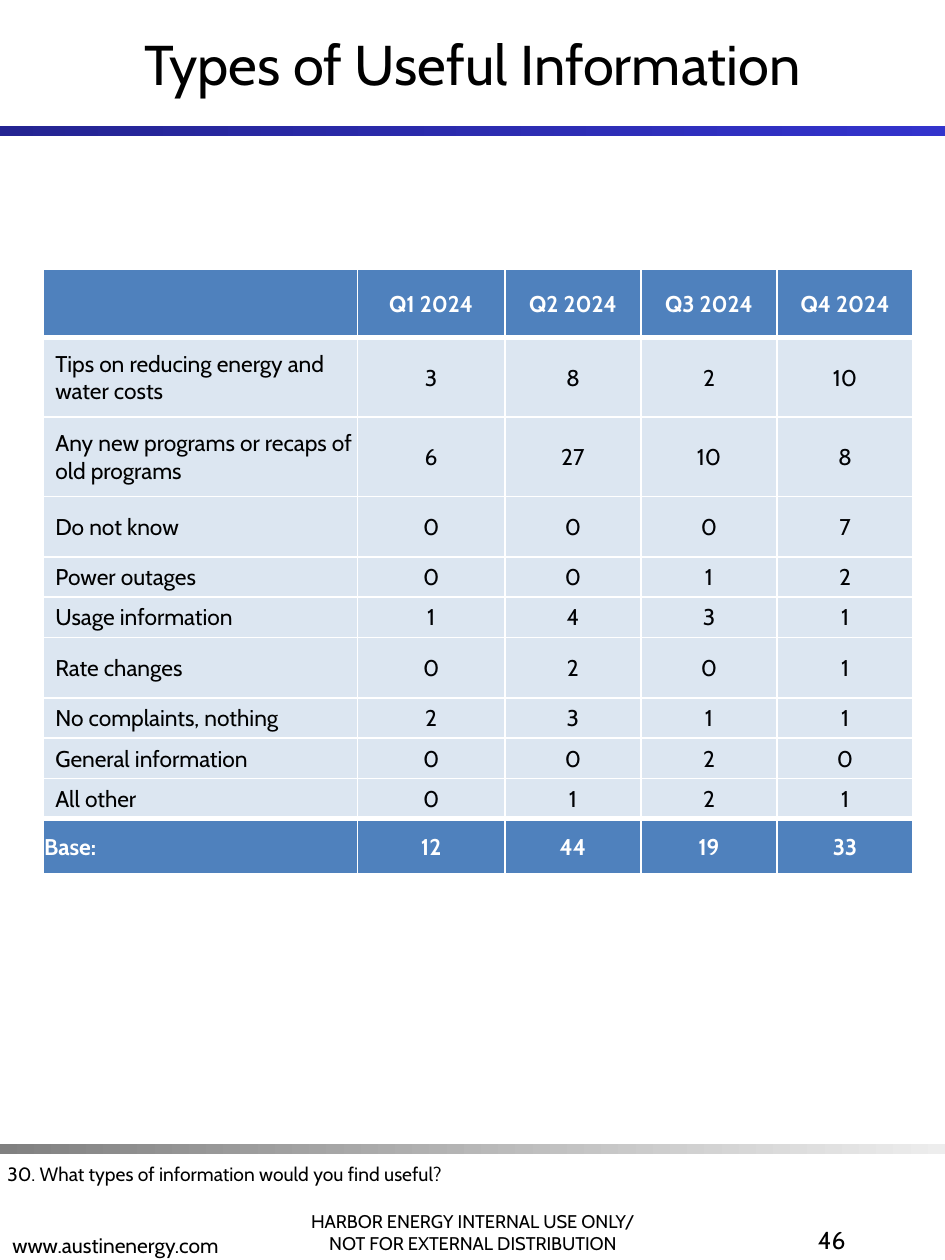
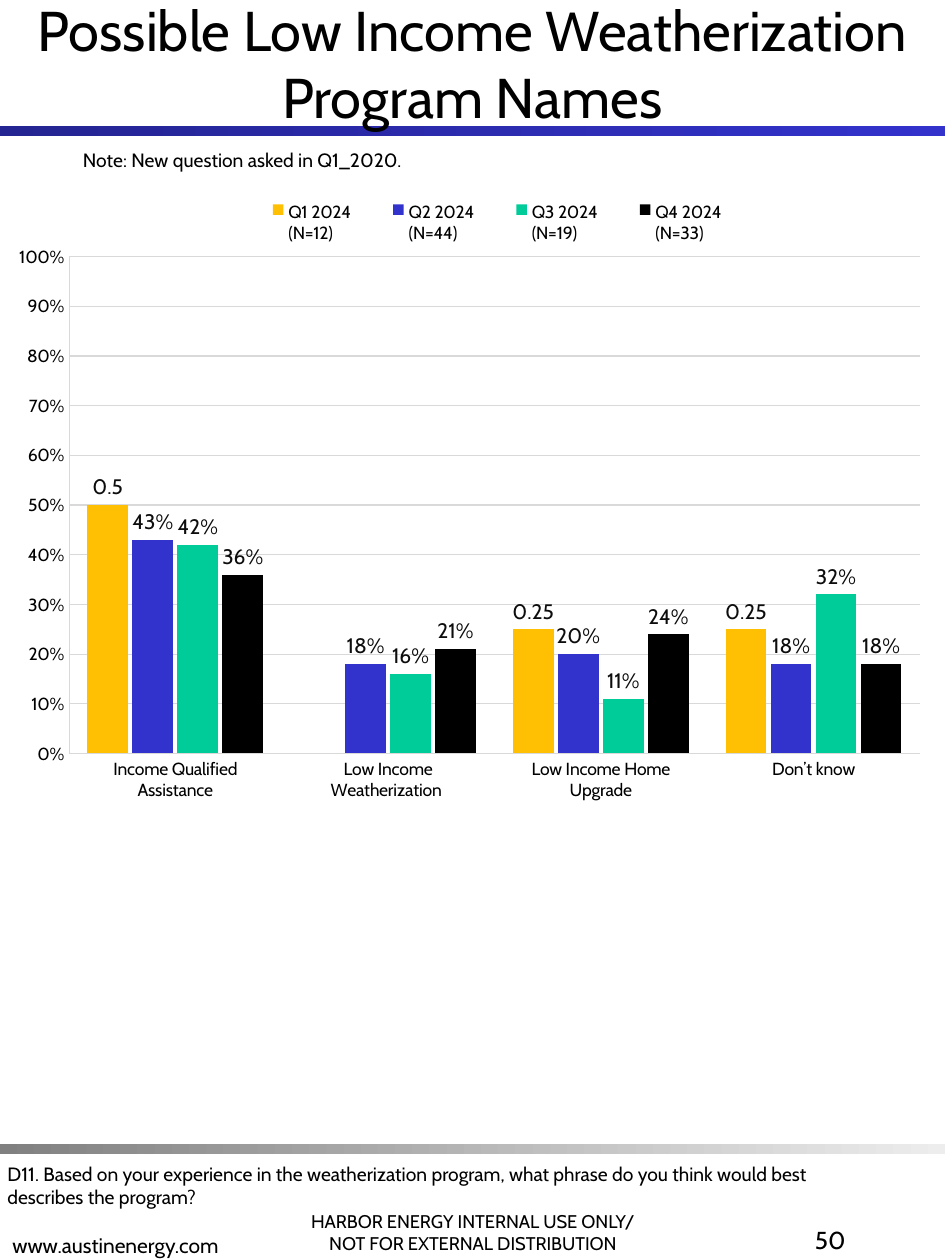
from dataclasses import dataclass

from lxml.etree import SubElement
from pptx import Presentation
from pptx.chart.chart import Chart
from pptx.chart.data import CategoryChartData
from pptx.dml.color import RGBColor
from pptx.enum.chart import XL_CHART_TYPE, XL_LABEL_POSITION, XL_LEGEND_POSITION, XL_TICK_MARK
from pptx.enum.shapes import MSO_SHAPE
from pptx.enum.text import MSO_ANCHOR, PP_ALIGN
from pptx.oxml import parse_xml
from pptx.oxml.ns import nsdecls, qn
from pptx.slide import Slide
from pptx.table import _Cell
from pptx.util import Emu, Inches, Pt

SLIDE_WIDTH, SLIDE_HEIGHT = Inches(7.5), Inches(10)
FONT = "Cabin"

BLACK = RGBColor(0x00, 0x00, 0x00)
WHITE = RGBColor(0xFF, 0xFF, 0xFF)
NAVY = RGBColor(0x24, 0x24, 0x92)
BLUE = RGBColor(0x33, 0x33, 0xCC)
GRAY = RGBColor(0x80, 0x80, 0x80)
PALE_GRAY = RGBColor(0xED, 0xED, 0xED)
HEADER_BLUE = RGBColor(0x4F, 0x81, 0xBD)
ROW_BLUE = RGBColor(0xDC, 0xE6, 0xF1)
COUNT_INK = RGBColor(0x01, 0x02, 0x05)
LABEL_INK = RGBColor(0x0D, 0x0D, 0x0D)
GRID_GRAY = RGBColor(0xD9, 0xD9, 0xD9)
YELLOW = RGBColor(0xFF, 0xC0, 0x03)
SERIES_BLUE = RGBColor(0x32, 0x33, 0xCC)
GREEN = RGBColor(0x00, 0xCC, 0x9A)


def across(percent: float) -> Emu:
    return Emu(round(SLIDE_WIDTH * percent / 100))


def down(percent: float) -> Emu:
    return Emu(round(SLIDE_HEIGHT * percent / 100))


@dataclass(frozen=True)
class Frame:
    """A rectangle in percent of the slide's width and height."""
    left: float
    top: float
    width: float
    height: float

    def lengths(self) -> tuple[Emu, Emu, Emu, Emu]:
        return across(self.left), down(self.top), across(self.width), down(self.height)


@dataclass(frozen=True)
class Band:
    frame: Frame
    start: RGBColor
    end: RGBColor


@dataclass(frozen=True)
class TextStyle:
    frame: Frame
    size: float
    align: PP_ALIGN = PP_ALIGN.LEFT
    anchor: MSO_ANCHOR = MSO_ANCHOR.TOP


@dataclass(frozen=True)
class Page:
    title: str
    number: int
    question: str


@dataclass(frozen=True)
class Quarter:
    name: str
    base: int
    shares: tuple[float | None, ...]
    color: RGBColor
    label_format: str = "0%"


BANDS = (
    Band(Frame(0, 10, 100, 0.8), NAVY, BLUE),
    Band(Frame(0, 90.8, 100, 0.8), GRAY, PALE_GRAY),
)
TITLE = TextStyle(Frame(0, 0, 100, 10), 32, PP_ALIGN.CENTER, MSO_ANCHOR.MIDDLE)
NOTICE = TextStyle(Frame(28.8, 93.3, 42.53, 6.7), 10.5, PP_ALIGN.CENTER, MSO_ANCHOR.BOTTOM)
WEBSITE = TextStyle(Frame(0, 93.6, 42.53, 6.7), 12, anchor=MSO_ANCHOR.BOTTOM)
PAGE_NUMBER = TextStyle(Frame(70, 96.7, 20.8, 3.3), 14, PP_ALIGN.RIGHT)
QUESTION = TextStyle(Frame(-0.53, 91.75, 91.33, 4.7), 11)
NOTE = TextStyle(Frame(7.47, 11.3, 85.87, 2.9), 11)

INFORMATION_PAGE = Page(
    "Types of Useful Information", 46,
    "30. What types of information would you find useful?")
NAMES_PAGE = Page(
    "Possible Low Income Weatherization Program Names", 50,
    "D11. Based on your experience in the weatherization program, what phrase do you "
    "think would best describes the program?")

TABLE_FRAME = Frame(4.53, 21.4, 92.1, 48)
COLUMN_WIDTHS = (33.3, 15.6, 14.4, 14.4, 14.4)
SHORT, MEDIUM, TALL = 3.2, 4.8, 6.3
ROW_HEIGHTS = (5.4, TALL, TALL, MEDIUM, SHORT, SHORT, MEDIUM, SHORT, SHORT, SHORT, 4.4)
TABLE_ROWS = (
    ("", "Q1 2024", "Q2 2024", "Q3 2024", "Q4 2024"),
    ("Tips on reducing energy and water costs", 3, 8, 2, 10),
    ("Any new programs or recaps of old programs", 6, 27, 10, 8),
    ("Do not know", 0, 0, 0, 7),
    ("Power outages", 0, 0, 1, 2),
    ("Usage information", 1, 4, 3, 1),
    ("Rate changes", 0, 2, 0, 1),
    ("No complaints, nothing", 2, 3, 1, 1),
    ("General information", 0, 0, 2, 0),
    ("All other", 0, 1, 2, 1),
    ("Base:", 12, 44, 19, 33),
)

CHART_FRAME = Frame(0.4, 11.3, 98.53, 55)
PROGRAM_NAMES = ("Income Qualified Assistance", "Low Income Weatherization ",
                 "Low Income Home Upgrade", "Don’t know")
QUARTERS = (
    Quarter("Q1 2024", 12, (0.5, None, 0.25, 0.25), YELLOW, "General"),
    Quarter("Q2 2024", 44, (0.43, 0.18, 0.2, 0.18), SERIES_BLUE),
    Quarter("Q3 2024", 19, (0.42, 0.16, 0.11, 0.32), GREEN),
    Quarter("Q4 2024", 33, (0.36, 0.21, 0.24, 0.18), BLACK),
)


def set_font(font, size: float, color: RGBColor = BLACK, bold: bool = False) -> None:
    font.name, font.size, font.bold = FONT, Pt(size), bold
    font.color.rgb = color


def add_band(slide: Slide, band: Band) -> None:
    shape = slide.shapes.add_shape(MSO_SHAPE.RECTANGLE, *band.frame.lengths())
    shape.shadow.inherit = False
    shape.line.fill.background()
    shape.fill.gradient()
    shape.fill.gradient_angle = 0
    for stop, color in zip(shape.fill.gradient_stops, (band.start, band.end)):
        stop.color.rgb = color


def add_text(slide: Slide, style: TextStyle, *lines: str) -> None:
    text_frame = slide.shapes.add_textbox(*style.frame.lengths()).text_frame
    text_frame.word_wrap = True
    text_frame.vertical_anchor = style.anchor
    text_frame.text = "\n".join(lines)
    for paragraph in text_frame.paragraphs:
        paragraph.alignment = style.align
        set_font(paragraph.font, style.size)


def add_page(presentation: Presentation, page: Page) -> Slide:
    """Add a slide with its title, bands, footer and survey question."""
    slide = presentation.slides.add_slide(presentation.slide_layouts[6])
    for band in BANDS:
        add_band(slide, band)
    add_text(slide, NOTICE, "HARBOR ENERGY INTERNAL USE ONLY/", "NOT FOR EXTERNAL DISTRIBUTION")
    add_text(slide, WEBSITE, "www.austinenergy.com")
    add_text(slide, TITLE, page.title)
    add_text(slide, PAGE_NUMBER, str(page.number))
    add_text(slide, QUESTION, page.question)
    return slide


def set_borders(cell: _Cell, top: float, bottom: float) -> None:
    """Draw white borders; top and bottom are widths in points."""
    properties = cell._tc.get_or_add_tcPr()
    for index, (side, width) in enumerate(zip("LRTB", (1, 1, top, bottom))):
        properties.insert(index, parse_xml(
            f'<a:ln{side} {nsdecls("a")} w="{Pt(width)}"><a:solidFill>'
            f'<a:srgbClr val="{WHITE}"/></a:solidFill></a:ln{side}>'))


def add_information_table(slide: Slide) -> None:
    last_row = len(TABLE_ROWS) - 1
    table = slide.shapes.add_table(
        len(TABLE_ROWS), len(COLUMN_WIDTHS), *TABLE_FRAME.lengths()).table
    table.horz_banding = False
    for column, width in zip(table.columns, COLUMN_WIDTHS):
        column.width = across(width)
    for row_index, values in enumerate(TABLE_ROWS):
        table.rows[row_index].height = down(ROW_HEIGHTS[row_index])
        strong = row_index in (0, last_row)
        for column_index, value in enumerate(values):
            cell = table.cell(row_index, column_index)
            is_label = column_index == 0
            cell.fill.solid()
            cell.fill.fore_color.rgb = HEADER_BLUE if strong else ROW_BLUE
            set_borders(cell, top=3 if row_index in (1, last_row) else 1,
                        bottom=3 if row_index in (0, last_row - 1) else 1)
            cell.vertical_anchor = MSO_ANCHOR.MIDDLE
            cell.margin_left = Inches(0.1 if is_label and not strong else 0.01)
            cell.margin_right = cell.margin_top = Inches(0.01)
            cell.margin_bottom = 0
            cell.text = str(value)
            paragraph = cell.text_frame.paragraphs[0]
            paragraph.alignment = PP_ALIGN.LEFT if is_label else PP_ALIGN.CENTER
            ink = WHITE if strong else BLACK if is_label else COUNT_INK
            set_font(paragraph.font, 13, ink, strong)


def set_layout(parent, index: int, inner: bool, **shares: float) -> None:
    """Place a chart part by x, y, w and h as shares of the chart."""
    for layout in parent.findall(qn("c:layout")):
        parent.remove(layout)
    layout = parse_xml(f'<c:layout {nsdecls("c")}><c:manualLayout/></c:layout>')
    manual = layout[0]
    if inner:
        SubElement(manual, qn("c:layoutTarget"), val="inner")
    for name in "xy":
        SubElement(manual, qn(f"c:{name}Mode"), val="edge")
    for name, share in shares.items():
        SubElement(manual, qn(f"c:{name}"), val=str(share))
    parent.insert(index, layout)


def style_axes(chart: Chart) -> None:
    value_axis = chart.value_axis
    value_axis.minimum_scale, value_axis.maximum_scale = 0, 1
    value_axis.major_unit = 0.1
    value_axis.tick_labels.number_format = "0%"
    value_axis.tick_labels.number_format_is_linked = False
    for axis, line_width in ((chart.category_axis, 0.62), (value_axis, 0.41)):
        axis.major_tick_mark = axis.minor_tick_mark = XL_TICK_MARK.NONE
        axis.format.line.color.rgb = GRID_GRAY
        axis.format.line.width = Pt(line_width)
        set_font(axis.tick_labels.font, 10)
    grid_line = value_axis.major_gridlines.format.line
    grid_line.color.rgb = GRID_GRAY
    grid_line.width = Pt(0.62)


def add_names_chart(slide: Slide) -> None:
    data = CategoryChartData()
    data.categories = PROGRAM_NAMES
    for quarter in QUARTERS:
        data.add_series(f"{quarter.name}\n(N={quarter.base})", quarter.shares)
    chart = slide.shapes.add_chart(
        XL_CHART_TYPE.COLUMN_CLUSTERED, *CHART_FRAME.lengths(), data).chart
    chart.has_title = False
    set_font(chart.font, 10)
    style_axes(chart)

    chart.has_legend = True
    legend = chart.legend
    legend.position = XL_LEGEND_POSITION.TOP
    legend.include_in_layout = False
    set_font(legend.font, 10)
    set_layout(legend._element, 1, False, x=0.25, y=0.08, w=0.56, h=0.07)
    set_layout(chart._chartSpace.chart.plotArea, 0, True, x=0.07, y=0.165, w=0.914, h=0.717)

    plot = chart.plots[0]
    plot.gap_width, plot.overlap, plot.vary_by_categories = 90, -10, False
    for series, quarter in zip(plot.series, QUARTERS):
        series.format.fill.solid()
        series.format.fill.fore_color.rgb = quarter.color
        series.invert_if_negative = False
        labels = series.data_labels
        labels.show_value = True
        labels.position = XL_LABEL_POSITION.OUTSIDE_END
        labels.number_format = quarter.label_format
        labels.number_format_is_linked = False
        set_font(labels.font, 12, LABEL_INK)


def main() -> None:
    presentation = Presentation()
    presentation.slide_width, presentation.slide_height = SLIDE_WIDTH, SLIDE_HEIGHT
    add_information_table(add_page(presentation, INFORMATION_PAGE))
    names_slide = add_page(presentation, NAMES_PAGE)
    add_text(names_slide, NOTE, "Note: New question asked in Q1_2020.")
    add_names_chart(names_slide)
    presentation.save("out.pptx")


if __name__ == "__main__":
    main()
